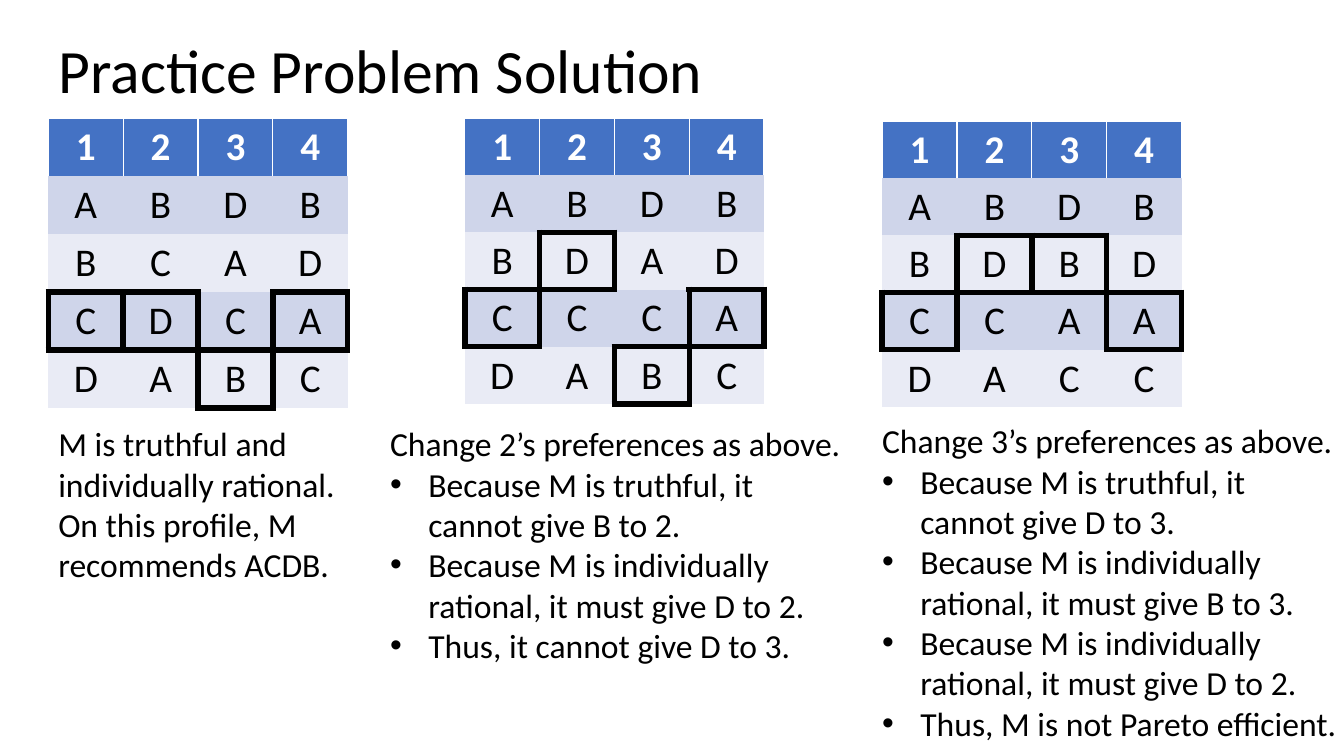
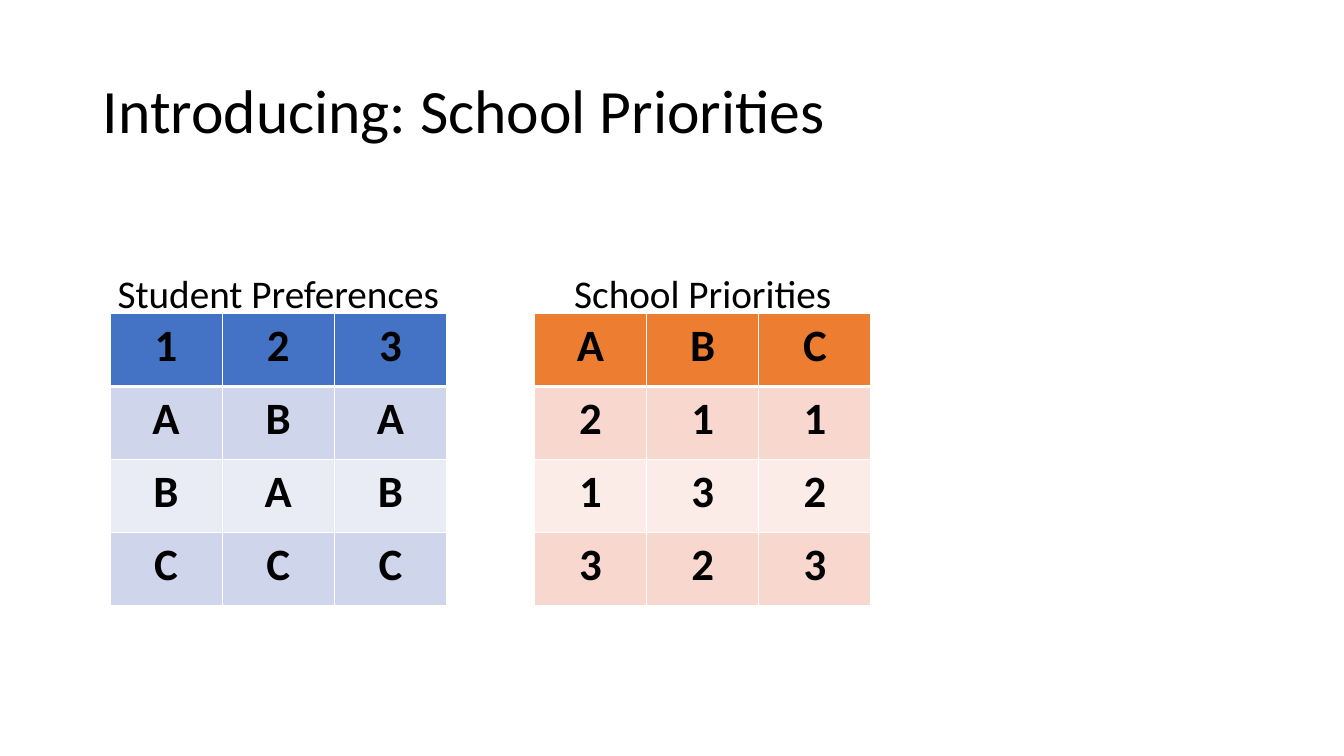
from lxml.etree import SubElement
from pptx import Presentation
from pptx.dml.color import RGBColor
from pptx.enum.text import MSO_ANCHOR, PP_ALIGN
from pptx.oxml.ns import qn
from pptx.util import Inches, Pt

COLORS = {
    "ink": "000000", "white": "FFFFFF",
    "blue": "4472C4", "blue_mid": "CFD5EA", "blue_pale": "E9EBF5",
    "orange": "ED7D31", "orange_mid": "F8D7CE", "orange_pale": "FCECE8",
}
FONT = "Calibri"
TITLE_ONLY = 5
TITLE_SIZE = (11.5, 1.45)
OUTLINE = ("ink", 4.5)
RULE = ("white", 1)
HEADER_RULE = ("white", 3)
NEIGHBOURS = {"L": (0, -1), "R": (0, 1), "T": (-1, 0), "B": (1, 0)}


def set_font(paragraph, size, color="ink", bold=False):
    font = paragraph.font
    for name, value in {"name": FONT, "size": Pt(size), "bold": bold}.items():
        setattr(font, name, value)
    font.color.rgb = RGBColor.from_string(COLORS[color])


def add_title(slide, text, left, top):
    title = slide.shapes.title
    box = dict(zip(("left", "top", "width", "height"), (left, top, *TITLE_SIZE)))
    for name, value in box.items():
        setattr(title, name, Inches(value))
    title.text_frame.text = text
    title.text_frame.vertical_anchor = MSO_ANCHOR.MIDDLE
    paragraph = title.text_frame.paragraphs[0]
    paragraph.alignment = PP_ALIGN.LEFT
    paragraph.line_spacing = 0.9
    set_font(paragraph, 44)


def add_bullet(paragraph):
    properties = paragraph._p.get_or_add_pPr()
    properties.set("marL", str(Inches(0.38)))
    properties.set("indent", str(Inches(-0.38)))
    SubElement(properties, qn("a:buFont"), typeface="Arial")
    SubElement(properties, qn("a:buChar"), char="•")


def add_text(slide, box, lines, size, bullets=(), align=PP_ALIGN.LEFT):
    """Place lines in a box; those listed in bullets follow as a list."""
    frame = slide.shapes.add_textbox(*map(Inches, box)).text_frame
    frame.word_wrap = True
    for i, text in enumerate([*lines, *bullets]):
        paragraph = frame.add_paragraph() if i else frame.paragraphs[0]
        paragraph.text = text
        paragraph.alignment = align
        if i >= len(lines):
            add_bullet(paragraph)
        set_font(paragraph, size)


def set_borders(cell, borders):
    properties = cell._tc.get_or_add_tcPr()
    for side in "LRTB":
        line = SubElement(properties, qn(f"a:ln{side}"))
        if borders.get(side):
            color, width = borders[side]
            line.set("w", str(Pt(width)))
            fill = SubElement(line, qn("a:solidFill"))
            SubElement(fill, qn("a:srgbClr"), val=COLORS[color])
        else:
            SubElement(line, qn("a:noFill"))


def add_profile(slide, box, rows, borders_at, hue="blue", size=28,
                header_color="white", bold=False):
    """Place a preference table; borders_at(row, column) gives cell borders."""
    table = slide.shapes.add_table(len(rows), len(rows[0]), *map(Inches, box)).table
    for r, row in enumerate(rows):
        shade = hue if r == 0 else hue + ("_mid" if r % 2 else "_pale")
        for c, text in enumerate(row):
            cell = table.cell(r, c)
            set_borders(cell, borders_at(r, c))
            cell.fill.solid()
            cell.fill.fore_color.rgb = RGBColor.from_string(COLORS[shade])
            cell.text = text
            paragraph = cell.text_frame.paragraphs[0]
            paragraph.alignment = PP_ALIGN.CENTER
            set_font(paragraph, size, "ink" if r else header_color, bold or r == 0)


def outline_matches(matched):
    """Outline the matched cells, also on the sides their neighbours share."""
    def borders_at(r, c):
        if r == 0:
            return dict.fromkeys("LRT", RULE)
        return {side: OUTLINE for side, (dr, dc) in NEIGHBOURS.items()
                if (r, c) in matched or (r + dr, c + dc) in matched}
    return borders_at


def white_grid(r, c):
    borders = dict.fromkeys("LRTB", RULE)
    if r < 2:
        borders["T" if r else "B"] = HEADER_RULE
    return borders


def build_solution(slide):
    add_title(slide, "Practice Problem Solution", 0.48, 0)
    truthful = "Because M is truthful, it cannot give {} to {}."
    rational = "Because M is individually rational, it must give {} to {}."
    # Table box, rows, matched row per agent, text box, lines, bullets
    steps = [
        ((0.48, 1.17, 2.97, 2.88), ["1234", "ABDB", "BCAD", "CDCA", "DABC"],
         (3, 3, 4, 3), (0.48, 4.15, 2.97, 1.72),
         ["M is truthful and individually rational.",
          "On this profile, M recommends ACDB."], []),
        ((4.61, 1.17, 2.97, 2.83), ["1234", "ABDB", "BDAD", "CCCA", "DABC"],
         (3, 2, 4, 3), (3.77, 4.15, 4.67, 2.52),
         ["Change 2’s preferences as above."],
         [truthful.format("B", 2), rational.format("D", 2),
          "Thus, it cannot give D to 3."]),
        ((8.75, 1.2, 2.97, 2.83), ["1234", "ABDB", "BDBD", "CCAA", "DACC"],
         (3, 2, 2, 3), (8.65, 4.12, 4.73, 3.33),
         ["Change 3’s preferences as above."],
         [truthful.format("D", 3), rational.format("B", 3),
          rational.format("D", 2), "Thus, M is not Pareto efficient."]),
    ]
    for table_box, rows, matched_rows, text_box, lines, bullets in steps:
        matched = {(r, c) for c, r in enumerate(matched_rows)}
        add_profile(slide, table_box, rows, outline_matches(matched))
        add_text(slide, text_box, lines, 24, bullets)


def build_priorities(slide):
    add_title(slide, "Introducing: School Priorities", 0.92, 0.4)
    top, width, height = 3.11, 3.34, 2.9
    overhang = 0.2  # captions reach past both table edges
    sides = [
        ("Student Preferences", 1.09, "blue", ["123", "ABA", "BAB", "CCC"]),
        ("School Priorities", 5.3, "orange", ["ABC", "211", "132", "323"]),
    ]
    for caption, left, hue, rows in sides:
        add_profile(slide, (left, top, width, height), rows, white_grid,
                    hue, 32, "ink", True)
        caption_box = (left - overhang, top - 0.49, width + 2 * overhang, 0.57)
        add_text(slide, caption_box, [caption], 28, align=PP_ALIGN.CENTER)


def main():
    deck = Presentation()
    deck.slide_width, deck.slide_height = Inches(13.33), Inches(7.5)
    for build in (build_solution, build_priorities):
        build(deck.slides.add_slide(deck.slide_layouts[TITLE_ONLY]))
    deck.save("out.pptx")


if __name__ == "__main__":
    main()
